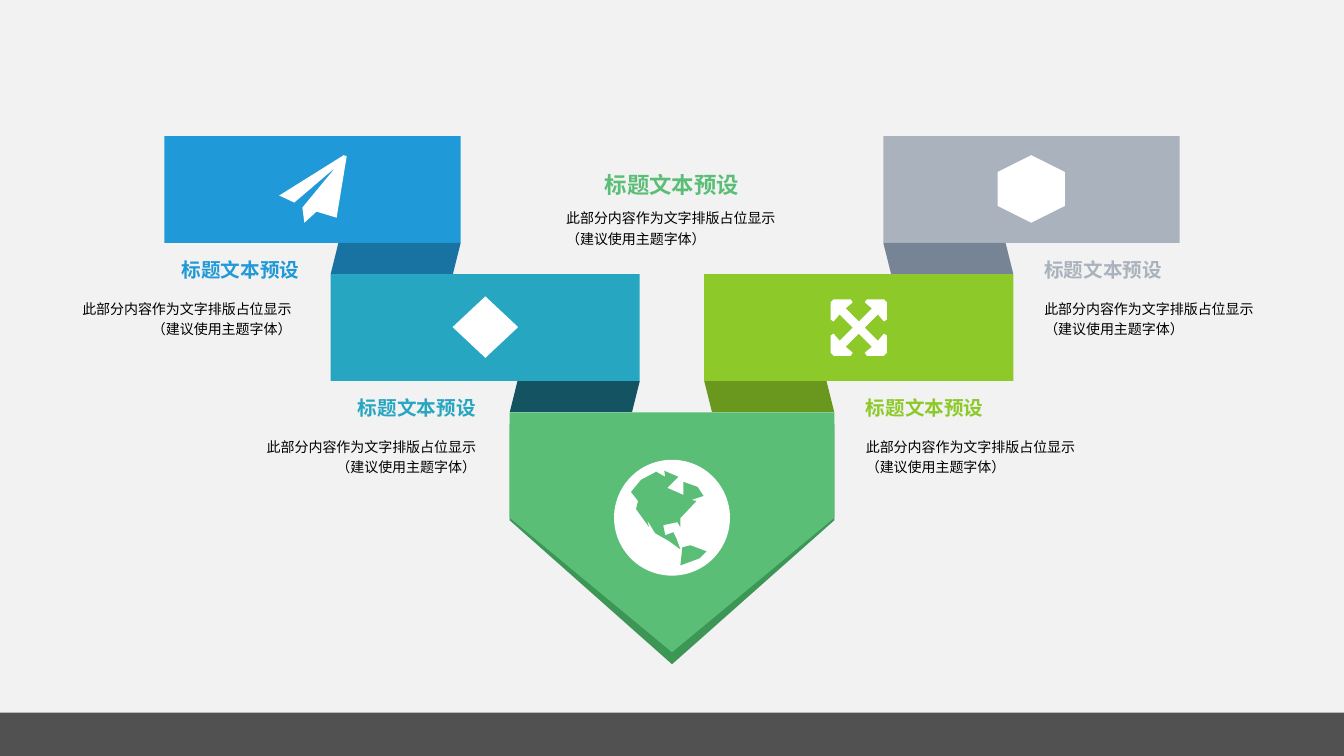
from pptx import Presentation
from pptx import util as u
from pptx.dml.color import RGBColor
from pptx.enum import shapes, text
from pptx.oxml import ns
from lxml import etree

WIDTH, HEIGHT = 960, 540
FONT = "Calibri"
BACKGROUND = RGBColor(0xF2, 0xF2, 0xF2)
FOOTER = RGBColor(0x0D, 0x0D, 0x0D)
WHITE = RGBColor(0xFF, 0xFF, 0xFF)
BLACK = RGBColor(0, 0, 0)
BLUE, BLUE_DARK = RGBColor(0x20, 0x99, 0xD8), RGBColor(0x18, 0x73, 0xA2)
TEAL, TEAL_DARK = RGBColor(0x27, 0xA6, 0xC2), RGBColor(0x14, 0x53, 0x61)
GRAY, GRAY_DARK = RGBColor(0xAA, 0xB2, 0xBD), RGBColor(0x77, 0x84, 0x96)
LIME, LIME_DARK = RGBColor(0x8D, 0xC9, 0x28), RGBColor(0x6A, 0x97, 0x1E)
GREEN, GREEN_DARK = RGBColor(0x5B, 0xBE, 0x77), RGBColor(0x3C, 0x97, 0x56)

# Content
HEADING = "标题文本预设"
BODY = ["此部分内容作为文字排版占位显示", "（建议使用主题字体）"]

# Ribbon steps: left, width, then (band, fold) colours on the left and right side
STEPS = [
    (117.36, 211.68, (BLUE, BLUE_DARK), (GRAY, GRAY_DARK)),
    (236.16, 220.8, (TEAL, TEAL_DARK), (LIME, LIME_DARK)),
]
TOP, BAND_HEIGHT = 97.2, 76.32
FOLD_WIDTH, FOLD_HEIGHT = 92.88, 22.32

# Captions: step, left, width, colour, align, left inset, heading right inset
RIGHT, LEFT, CENTER = text.PP_ALIGN.RIGHT, text.PP_ALIGN.LEFT, text.PP_ALIGN.CENTER
CAPTIONS = [
    (0, 43.2, 192.96, BLUE, RIGHT, 7.2, 22.3),
    (1, 174.96, 192.96, TEAL, RIGHT, 7.2, 28),
    (0, 723.6, 210.24, GRAY, LEFT, 22.3, 22.3),
    (1, 596.16, 210.24, LIME, LEFT, 22.3, 22.3),
]
BODY_INSET = 28
HEADING_HEIGHT, BODY_HEIGHT = 31, 44

# Icon outlines, in units of 0.72 pt
UNIT = 0.72
PLANE = [(344, 155), (334, 216), (314, 210), (302, 221), (300, 206), (333, 166),
         (292, 201), (277, 194), (341, 154)]
ARROWS_CENTER = (852, 325)
ARROW_ARM = [(6, 0), (19, 13), (25, 6), (28, 8), (28, 25), (25, 28), (8, 28),
             (6, 25), (13, 19)]
NORTH_AMERICA = [
    (686, 496), (698, 492), (692, 483), (678, 478), (678, 491), (662, 484),
    (673, 473), (659, 467), (660, 473), (651, 468), (636, 476), (626, 488),
    (633, 497), (631, 505), (644, 523), (642, 516), (650, 529), (664, 537),
    (675, 545), (671, 534), (668, 528), (660, 531), (658, 521), (672, 518),
    (675, 523), (675, 514), (691, 497)]
SOUTH_AMERICA = [(701, 547), (685, 541), (677, 543), (675, 561), (694, 554)]

presentation = Presentation()
presentation.slide_width, presentation.slide_height = u.Pt(WIDTH), u.Pt(HEIGHT)
slide = presentation.slides.add_slide(presentation.slide_layouts[6])
slide.background.fill.solid()
slide.background.fill.fore_color.rgb = BACKGROUND


def paint(shape, color):
    shape.shadow.inherit = False
    shape.fill.solid()
    shape.fill.fore_color.rgb = color
    shape.line.fill.background()
    return shape


def add_preset(kind, left, top, width, height, color):
    shape = slide.shapes.add_shape(kind, u.Pt(left), u.Pt(top), u.Pt(width), u.Pt(height))
    return paint(shape, color)


def add_outline(points, color):
    builder = slide.shapes.build_freeform(*points[0], scale=u.Pt(UNIT))
    builder.add_line_segments(points[1:], close=True)
    return paint(builder.convert_to_shape(), color)


def add_text(lines, left, top, width, height, size, color, align, anchor, insets,
             bold=False, spacing=1.0):
    box = slide.shapes.add_textbox(u.Pt(left), u.Pt(top), u.Pt(width), u.Pt(height))
    frame = box.text_frame
    frame.word_wrap = True
    frame.vertical_anchor = anchor
    (frame.margin_left, frame.margin_top,
     frame.margin_right, frame.margin_bottom) = [u.Pt(inset) for inset in insets]
    paragraph = frame.paragraphs[0]
    paragraph.alignment = align
    paragraph.line_spacing = spacing
    for index, line in enumerate(lines):
        if index:
            paragraph.add_line_break()
        run = paragraph.add_run()
        run.text = line
        run.font.name, run.font.size, run.font.bold = FONT, u.Pt(size), bold
        run.font.color.rgb = color


def step_top(step):
    return TOP + step * (BAND_HEIGHT + FOLD_HEIGHT)


PRESET = shapes.MSO_SHAPE
ANCHOR = text.MSO_ANCHOR

# Translucent footer bar
footer = add_preset(PRESET.RECTANGLE, 0, 509, WIDTH, 31, FOOTER)
footer_color = footer.element.spPr.find(ns.qn("a:solidFill"))[0]
etree.SubElement(footer_color, ns.qn("a:alpha")).set("val", "70000")

# Ribbon bands and folds, the right side mirroring the left
for step, (left, width, *sides) in enumerate(STEPS):
    top = step_top(step)
    fold_left = left + width - FOLD_WIDTH
    for mirrored, (band_color, fold_color) in enumerate(sides):
        band_x = WIDTH - left - width if mirrored else left
        fold_x = WIDTH - fold_left - FOLD_WIDTH if mirrored else fold_left
        add_preset(PRESET.RECTANGLE, band_x, top, width, BAND_HEIGHT, band_color)
        fold = add_preset(PRESET.PARALLELOGRAM, fold_x, top + BAND_HEIGHT,
                          FOLD_WIDTH, FOLD_HEIGHT, fold_color)
        if mirrored:
            fold.element.spPr.find(ns.qn("a:xfrm")).set("flipH", "1")

# Downward pointer with its darker edge
for top, point, color in [(272.88, 0.6, GREEN_DARK), (264.24, 0.56, GREEN)]:
    pointer = add_preset(PRESET.PENTAGON, 394.32, top, 171.36, 231.84, color)
    pointer.adjustments[0] = point
    pointer.rotation = 90

# Icons
add_outline(PLANE, WHITE)
add_preset(PRESET.DIAMOND, 323.3, 211.7, 46.8, 43.9, WHITE)
hexagon = add_preset(PRESET.HEXAGON, 712.5, 110.9, 48.2, 48.2, WHITE)
hexagon.rotation = 90
arrows, arm = [], ARROW_ARM
for quarter in range(4):
    arrows += [(ARROWS_CENTER[0] + x, ARROWS_CENTER[1] + y) for x, y in arm]
    arm = [(-y, x) for x, y in arm]
add_outline(arrows, WHITE)
add_preset(PRESET.OVAL, 438.6, 328.4, 82.8, 82.8, WHITE)
for land in (NORTH_AMERICA, SOUTH_AMERICA):
    add_outline(land, GREEN)

# Captions below the bands
for step, left, width, color, align, inset, heading_inset in CAPTIONS:
    top = step_top(step) + BAND_HEIGHT
    add_text([HEADING], left, top, width, HEADING_HEIGHT, 14, color, align,
             ANCHOR.BOTTOM, (inset, 3.6, heading_inset, 3.6), bold=True)
    add_text(BODY, left, top + HEADING_HEIGHT, width, BODY_HEIGHT, 10, BLACK, align,
             ANCHOR.MIDDLE, (inset, 3.6, BODY_INSET, 3.6), spacing=1.2)

# Central caption
add_text([HEADING], 399.4, 115.2, 161.2, 26.6, 16, GREEN, CENTER, ANCHOR.BOTTOM,
         (0, 0, 0, 0), bold=True)
add_text(BODY, 399.4, 141.8, 161.2, 54, 10, BLACK, LEFT, ANCHOR.TOP,
         (5, 5.8, 0, 0), spacing=1.2)

presentation.save("out.pptx")
